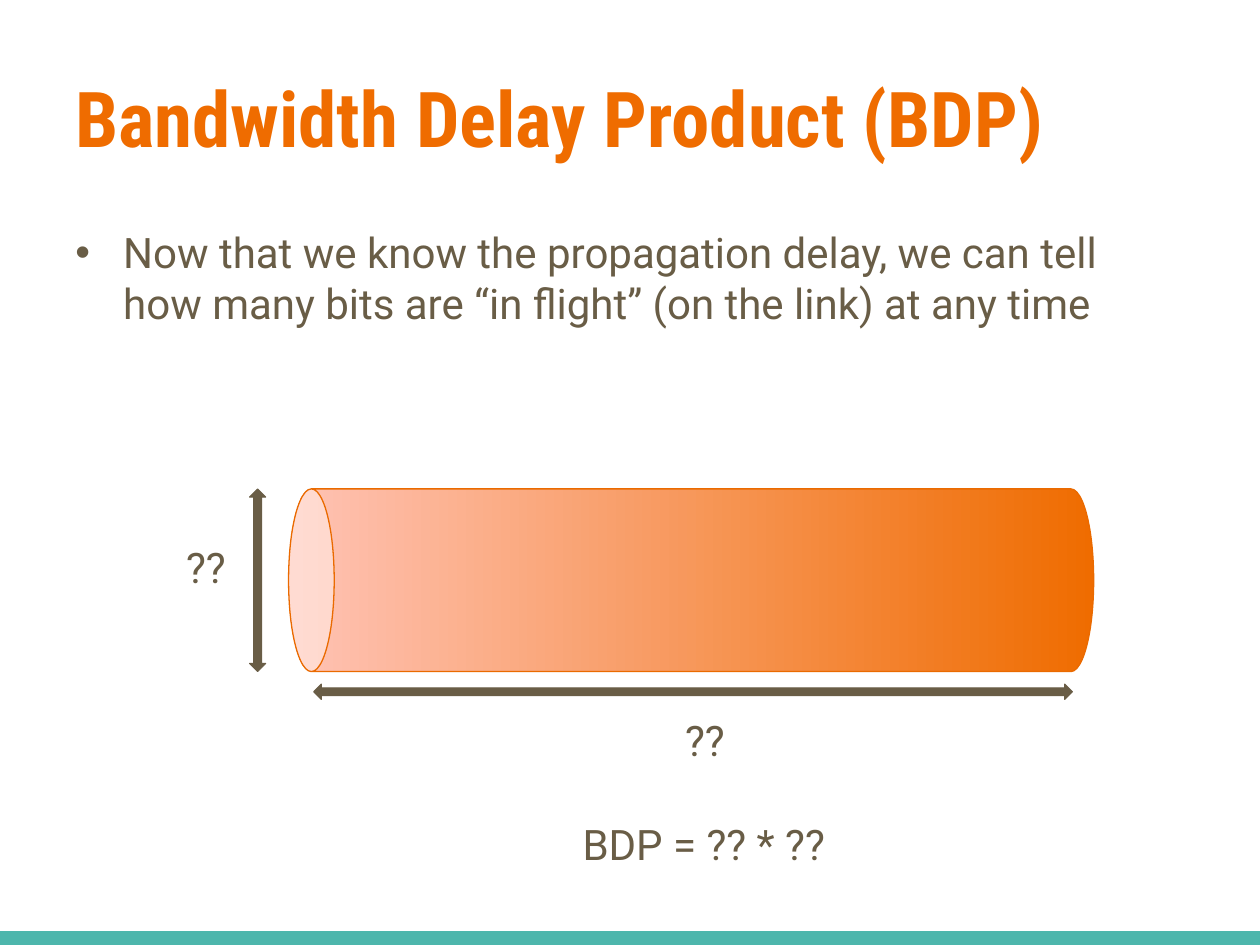
from dataclasses import dataclass

from lxml.etree import SubElement
from pptx import Presentation
from pptx.dml.color import RGBColor
from pptx.enum.shapes import MSO_CONNECTOR, MSO_SHAPE
from pptx.enum.text import MSO_ANCHOR, PP_ALIGN
from pptx.oxml.ns import qn
from pptx.util import Emu, Inches, Pt

# The slide is a grid of half-inch cells
COLUMNS, ROWS = 20, 15
CELL = Inches(0.5)

ORANGE, PIPE_EDGE, PINK = "EF6C00", "EA6A00", "FFC3B5"
BROWN, TEAL = "695D46", "4DB6AC"

TITLE_FONT = {"name": "Roboto Condensed", "size": Pt(44), "bold": True}
BODY_FONT = {"name": "Roboto", "size": Pt(24), "bold": False}


@dataclass(frozen=True)
class Box:
    column: float
    row: float
    columns: float
    rows: float

    def emu(self) -> list[Emu]:
        return [cells(n) for n in (self.column, self.row, self.columns, self.rows)]


@dataclass(frozen=True)
class Label:
    text: str
    box: Box
    align: PP_ALIGN = PP_ALIGN.LEFT
    anchor: MSO_ANCHOR = MSO_ANCHOR.TOP
    font: dict = None
    color: str = BROWN
    bullet: bool = False


@dataclass(frozen=True)
class Solid:
    kind: MSO_SHAPE
    box: Box
    edge: str
    edge_width: float
    rotation: float = 0
    gradient: tuple[str, ...] = ()


def cells(count: float) -> Emu:
    return Emu(round(count * CELL))


def color(hex_value: str) -> RGBColor:
    return RGBColor.from_string(hex_value)


def add_bullet(paragraph) -> None:
    paragraph.space_before = Pt(4.8)
    properties = paragraph._p.get_or_add_pPr()
    indent = Inches(0.38)
    properties.set("marL", str(indent))
    properties.set("indent", str(-indent))
    SubElement(properties, qn("a:buFont")).set("typeface", "Arial")
    SubElement(properties, qn("a:buChar")).set("char", "•")


def draw_label(slide, label: Label) -> None:
    frame = slide.shapes.add_textbox(*label.box.emu()).text_frame
    frame.word_wrap = True
    frame.vertical_anchor = label.anchor
    paragraph = frame.paragraphs[0]
    paragraph.alignment = label.align
    if label.bullet:
        add_bullet(paragraph)
    run = paragraph.add_run()
    run.text = label.text
    for attribute, value in (label.font or BODY_FONT).items():
        setattr(run.font, attribute, value)
    run.font.color.rgb = color(label.color)


def draw_solid(slide, solid: Solid) -> None:
    shape = slide.shapes.add_shape(solid.kind, *solid.box.emu())
    shape.shadow.inherit = False
    shape.rotation = solid.rotation
    if solid.gradient:
        shape.fill.gradient()
        shape.fill.gradient_angle = 90
        for stop, shade in zip(shape.fill.gradient_stops, solid.gradient):
            stop.color.rgb = color(shade)
    else:
        shape.fill.solid()
        shape.fill.fore_color.rgb = color(solid.edge)
    shape.line.color.rgb = color(solid.edge)
    shape.line.width = Pt(solid.edge_width)


def draw_footer_rule(slide) -> None:
    height = cells(ROWS - 0.08)
    rule = slide.shapes.add_connector(
        MSO_CONNECTOR.STRAIGHT, 0, height, cells(COLUMNS), height)
    rule.line.color.rgb = color(TEAL)
    rule.line.width = Pt(10)
    SubElement(rule._element.spPr, qn("a:effectLst"))


# Pipe with its length and height arrows
SOLIDS = [
    Solid(MSO_SHAPE.CAN, Box(9.52, 2.82, 2.9, 12.78), PIPE_EDGE, 0.75,
          rotation=270, gradient=(ORANGE, PINK)),
    Solid(MSO_SHAPE.LEFT_RIGHT_ARROW, Box(4.98, 10.86, 12.04, 0.24), BROWN, 0.75),
    Solid(MSO_SHAPE.LEFT_RIGHT_ARROW, Box(2.64, 9.08, 2.9, 0.26), BROWN, 0.5,
          rotation=270),
]

# Heading, statement, arrow labels and formula
LABELS = [
    Label("Bandwidth Delay Product (BDP)", Box(1, 0.6, 18, 2.5),
          anchor=MSO_ANCHOR.MIDDLE, font=TITLE_FONT, color=ORANGE),
    Label("Now that we know the propagation delay, we can tell how many bits "
          "are “in flight” (on the link) at any time",
          Box(1, 3.5, 18, 9.9), bullet=True),
    Label("??", Box(0.28, 8.5, 3.5, 1), PP_ALIGN.RIGHT),
    Label("??", Box(8.12, 11.24, 6.14, 1), PP_ALIGN.CENTER),
    Label("BDP = ?? * ??", Box(4.98, 12.9, 12.38, 1), PP_ALIGN.CENTER),
]


def main() -> None:
    deck = Presentation()
    deck.slide_width, deck.slide_height = cells(COLUMNS), cells(ROWS)
    slide = deck.slides.add_slide(deck.slide_layouts[6])
    draw_footer_rule(slide)
    for solid in SOLIDS:
        draw_solid(slide, solid)
    for label in LABELS:
        draw_label(slide, label)
    deck.save("out.pptx")


if __name__ == "__main__":
    main()
